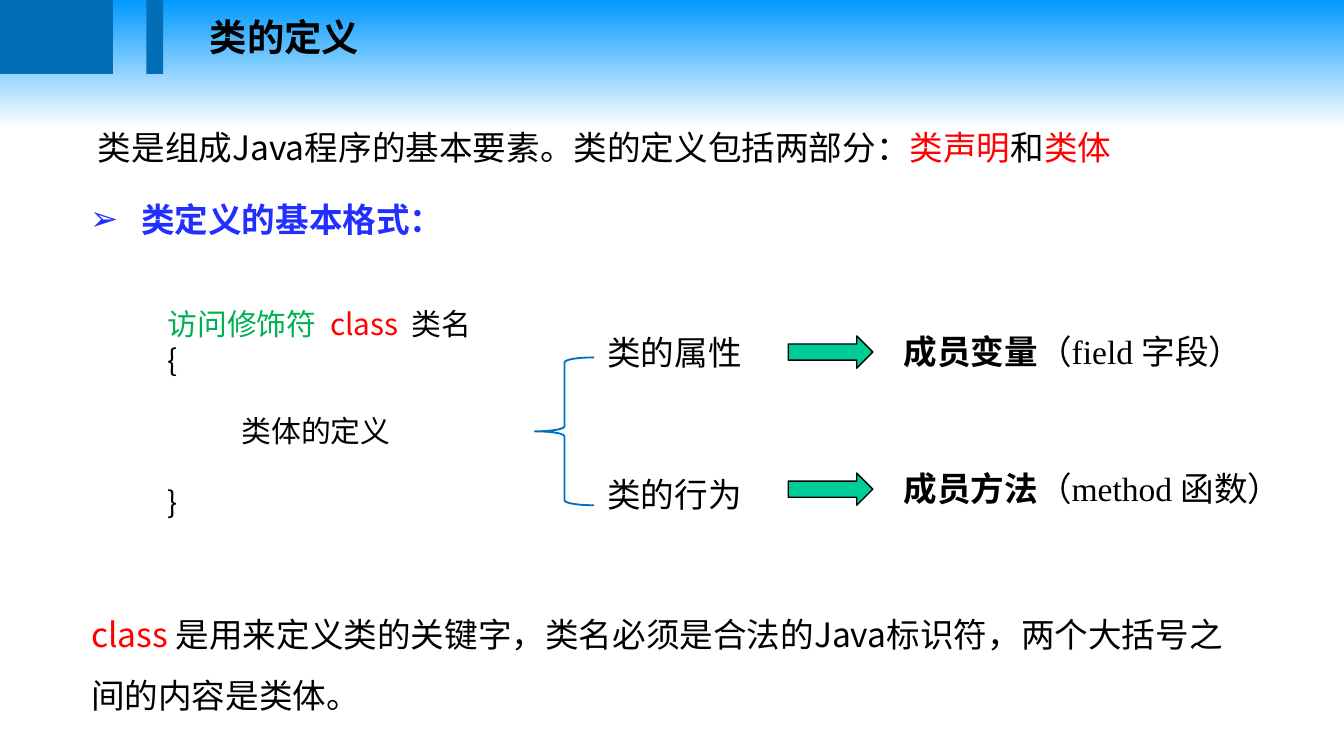
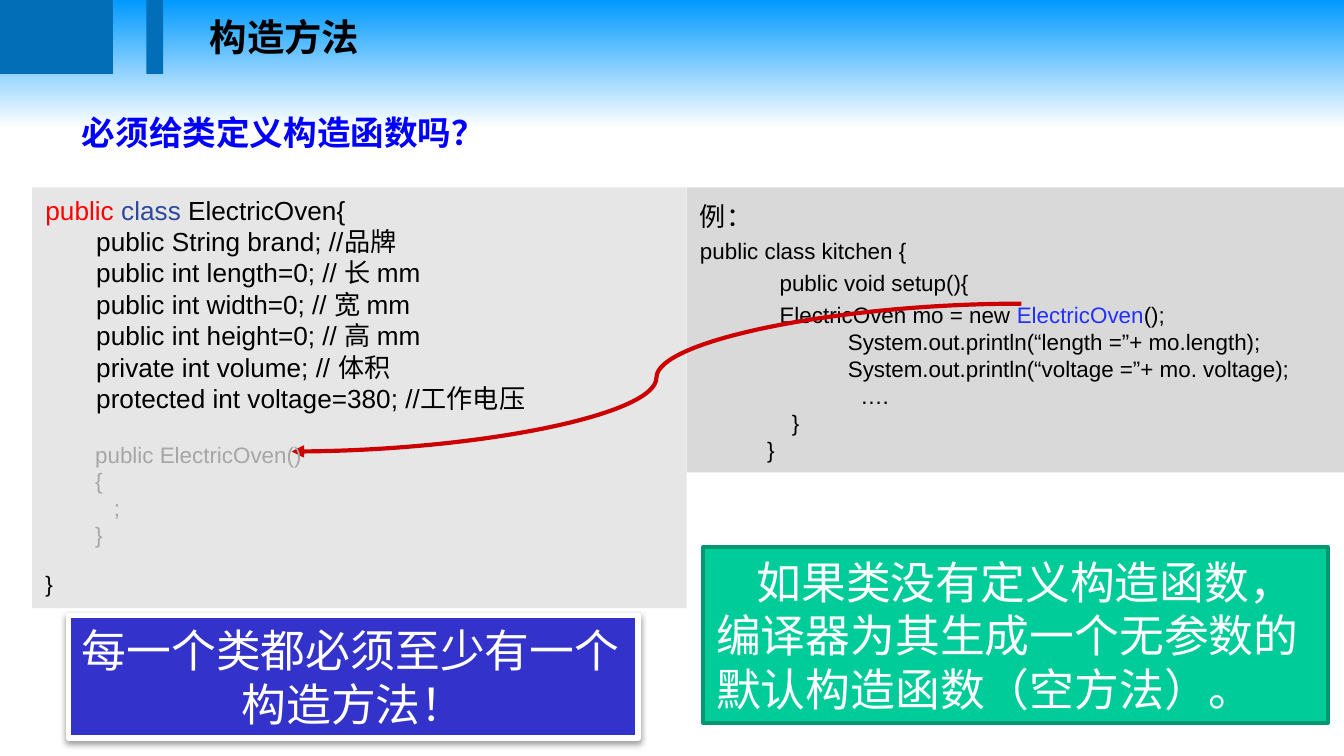
from lxml import etree
from pptx import Presentation
from pptx import util as u
from pptx.dml.color import RGBColor
from pptx.enum import shapes, text
from pptx.oxml import ns

SANS = "Noto Sans CJK SC"
SERIF = "Times New Roman"
CODE = "Arial"
DISPLAY = "Cabin"

BLACK, WHITE, RED = "000000", "FFFFFF", "FF0000"
SKY, BAND, GREEN, VIVID = "0099FF", "036EB8", "00CC99", "2230FF"

WIDTH = u.Inches(10)
HEIGHT = WIDTH * 9 // 16
CELL = WIDTH // 100


def color(value):
    return RGBColor.from_string(value)


def child(parent, tag, **attributes):
    element = etree.SubElement(parent, ns.qn(tag))
    for name, value in attributes.items():
        element.set(name, str(value))
    return element


def place(*cells):
    return [u.Emu(round(cell * CELL)) for cell in cells]


def write(shape, *runs, size=18, font=SANS, ink=BLACK, bold=False, spacing=1.0,
          before=0, left=0, first=0, bullet=None, align=text.PP_ALIGN.LEFT):
    frame = shape.text_frame
    paragraph = frame.paragraphs[-1]
    if paragraph.runs:
        paragraph = frame.add_paragraph()
    properties = paragraph._p.get_or_add_pPr()
    properties.set("marL", str(u.Inches(left)))
    properties.set("indent", str(u.Inches(first)))
    if bullet:
        child(properties, "a:buChar", char=bullet)
    else:
        child(properties, "a:buNone")
    paragraph.alignment = align
    paragraph.line_spacing = spacing
    paragraph.space_before = u.Pt(before)
    for item in runs:
        words, changes = (item, {}) if isinstance(item, str) else item
        run = paragraph.add_run()
        run.text = words
        run.font.size = u.Pt(size)
        run.font.name = font
        run.font.bold = changes.get("bold", bold)
        run.font.color.rgb = color(changes.get("ink", ink))
        child(run._r.get_or_add_rPr(), "a:ea", typeface=SANS)


class Deck:
    """Build slides that share one background, title band and grid."""

    def __init__(self):
        self.presentation = Presentation()
        self.presentation.slide_width = WIDTH
        self.presentation.slide_height = HEIGHT
        self.slide = None
        fill = self.presentation.slide_master.background.fill
        fill.gradient()
        fill.gradient_angle = 270
        for stop, position, value in zip(fill.gradient_stops, (0, 0.17), (SKY, WHITE)):
            stop.position = position
            stop.color.rgb = color(value)

    def start(self, title):
        layout = self.presentation.slide_layouts[1]
        self.slide = self.presentation.slides.add_slide(layout)
        for column, columns in ((0, 8.4), (10.9, 1.25)):
            self.shape("RECTANGLE", (column, 0, columns, 5.5), BAND)
        heading = self.fit(self.slide.shapes.title, (14.6, 0.55, 44, 4.4))
        write(heading, title, size=20, bold=True)

    def fit(self, shape, box, anchor="TOP"):
        shape.left, shape.top, shape.width, shape.height = place(*box)
        frame = shape.text_frame
        frame.word_wrap = True
        frame.auto_size = text.MSO_AUTO_SIZE.NONE
        frame.vertical_anchor = text.MSO_ANCHOR[anchor]
        return shape

    def body(self, box):
        return self.fit(self.slide.placeholders[1], box)

    def textbox(self, box):
        return self.fit(self.slide.shapes.add_textbox(*place(*box)), box)

    def shape(self, kind, box, fill=None, line=None, weight=1, anchor="TOP"):
        shape = self.slide.shapes.add_shape(shapes.MSO_SHAPE[kind], *place(*box))
        shape.shadow.inherit = False
        if fill:
            shape.fill.solid()
            shape.fill.fore_color.rgb = color(fill)
        else:
            shape.fill.background()
        if line:
            shape.line.color.rgb = color(line)
            shape.line.width = u.Pt(weight)
        else:
            shape.line.fill.background()
        return self.fit(shape, box, anchor)

    def drop_shadow(self, shape):
        effects = shape._element.spPr.find(ns.qn("a:effectLst"))
        shadow = child(effects, "a:outerShdw", blurRad=u.Pt(3.1), dist=u.Pt(1.6),
                       dir=90 * 60000, rotWithShape=0)
        child(child(shadow, "a:srgbClr", val=BLACK), "a:alpha", val=38000)

    def curved_arrow(self, start, end, ink, weight):
        connector = self.slide.shapes.add_connector(
            shapes.MSO_CONNECTOR.CURVE, *place(*start, *end))
        connector.line.color.rgb = color(ink)
        connector.line.width = u.Pt(weight)
        child(connector.line._get_or_add_ln(), "a:tailEnd", type="triangle")
        child(connector._element.spPr, "a:effectLst")


def class_definition(deck):
    deck.start("类的定义")
    lead = deck.textbox((6.3, 7.45, 87.4, 5))
    write(lead, "类是组成Java程序的基本要素。类的定义包括两部分：", ("类声明", {"ink": RED}),
          "和", ("类体", {"ink": RED}), spacing=1.5)
    write(deck.body((5.7, 14.3, 28.5, 4)), "类定义的基本格式：", ink=VIVID, bold=True,
          left=0.38, first=-0.38, bullet="➢")

    syntax = deck.textbox((11.5, 22.25, 28.3, 17.2))
    write(syntax, ("访问修饰符  ", {"ink": "00B050"}), ("class  ", {"ink": RED}), "类名", size=16)
    write(syntax, "{", size=16)
    write(syntax, "类体的定义", size=16, left=0.55, before=19)
    write(syntax, "}", size=16, before=19)

    deck.shape("LEFT_BRACE", (39.8, 26.6, 4.4, 11), line="0070C0")
    members = (("类的属性", 24.2, 25, "成员变量", "（field 字段）", 27.5),
               ("类的行为", 34.8, 35.2, "成员方法", "（method 函数）", 30.4))
    for part, row, arrow_row, member, gloss, columns in members:
        write(deck.textbox((44.2, row, 12.1, 4)), part, font=SERIF)
        deck.shape("RIGHT_ARROW", (58.65, arrow_row, 6.3, 2.4), GREEN, BLACK, 0.75)
        write(deck.textbox((66.25, arrow_row - 0.9, columns, 4)),
              (member, {"bold": True}), gloss, font=SERIF)

    note = deck.textbox((5.8, 43.7, 87.4, 9.6))
    write(note, ("class ", {"ink": RED}),
          "是用来定义类的关键字，类名必须是合法的Java标识符，两个大括号之间的内容是类体。",
          spacing=1.5)


def constructors(deck):
    deck.start("构造方法")
    write(deck.body((5.1, 7.25, 34.6, 4.3)), "必须给类定义构造函数吗？",
          ink="0000FF", bold=True, spacing=1.2)

    oven = deck.shape("RECTANGLE", (2.4, 13.95, 48.7, 31.3), "E6E6E6")
    write(oven, ("public ", {"ink": RED}), ("class ", {"ink": "2D499E"}), "ElectricOven{",
          size=14, font=CODE)
    for field in ("public String brand; //品牌", "public int length=0; // 长 mm",
                  "public int width=0; // 宽 mm", "public int height=0; // 高 mm",
                  "private int volume; // 体积", "protected int voltage=380; //工作电压"):
        write(oven, "       " + field, size=14, font=CODE)
    write(oven, "}", size=12, font=CODE, before=84)

    kitchen = deck.shape("RECTANGLE", (51.1, 13.95, 48.9, 21.2), "D9D9D9")
    write(kitchen, "例：", size=14, font=CODE, spacing=1.2)
    write(kitchen, "public class kitchen {", size=12, font=CODE, spacing=1.2)
    setup = (("  public void setup(){",),
             ("  ElectricOven mo = new ", ("ElectricOven", {"ink": VIVID}), "();"))
    for line in setup:
        write(kitchen, *line, size=12, font=CODE, spacing=1.2, left=0.5)
    for line in ("             System.out.println(“length =”+ mo.length);",
                 "             System.out.println(“voltage =”+ mo. voltage);",
                 "               ….", "    }", "}"):
        write(kitchen, line, size=12, font=CODE, left=0.5)

    deck.curved_arrow((76, 22.6), (21.7, 33.6), "CC0000", 2.25)

    answer = deck.shape("RECTANGLE", (52.3, 40.7, 46.5, 13.1), GREEN, "009771", 2, "MIDDLE")
    write(answer, "如果类没有定义构造函数，编译器为其生成一个无参数的默认构造函数（空方法）。",
          size=24, font=DISPLAY, ink=WHITE, first=0.3)

    default = deck.textbox((6.1, 32.3, 17.5, 11.1))
    for line in ("public ElectricOven()", "{", "   ;", "}"):
        write(default, line, size=12, font=CODE, ink="A6A6A6")

    rule = deck.shape("RECTANGLE", (5.1, 45.8, 42.4, 9.1), "3333CC", WHITE, 3, "MIDDLE")
    deck.drop_shadow(rule)
    write(rule, "每一个类都必须至少有一个", size=24, font=DISPLAY, ink=WHITE)
    write(rule, "构造方法！", size=24, font=DISPLAY, ink=WHITE, align=text.PP_ALIGN.CENTER)


def main():
    deck = Deck()
    class_definition(deck)
    constructors(deck)
    deck.presentation.save("out.pptx")


if __name__ == "__main__":
    main()
